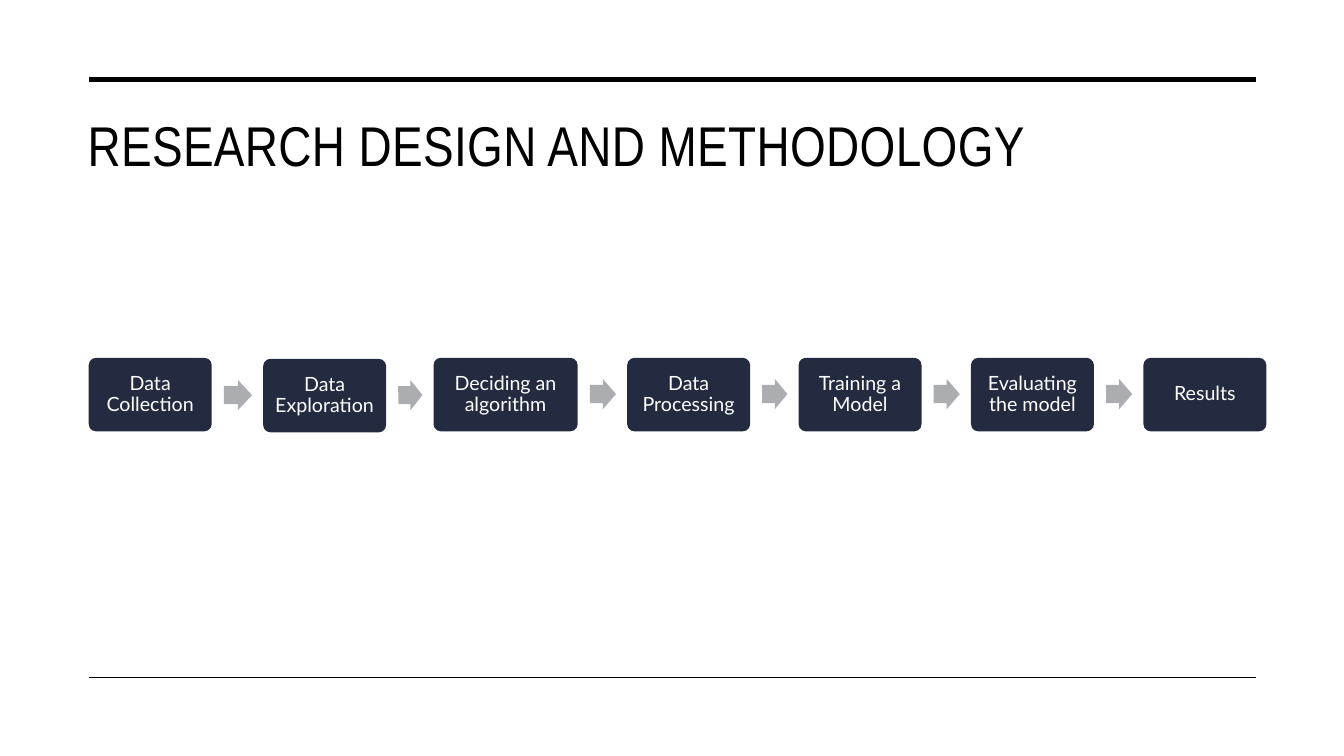
from math import atan2, degrees

from lxml.etree import SubElement
from pptx import Presentation
from pptx.dml.color import RGBColor
from pptx.enum.shapes import MSO_CONNECTOR as Connector, MSO_SHAPE as Shape
from pptx.enum.text import MSO_ANCHOR as Anchor, PP_ALIGN as Align
from pptx.oxml.ns import qn
from pptx.util import Emu, Pt

BLACK = RGBColor(0x00, 0x00, 0x00)
WHITE = RGBColor(0xFF, 0xFF, 0xFF)
NAVY = RGBColor(0x24, 0x2B, 0x41)
GREY = RGBColor(0xAC, 0xAD, 0xB0)

EMU_PER_PX = 9144  # 100 px to the inch
STEP_HEIGHT = 73
ARROW_HEIGHT = 30
ARROW_MARGIN = 12

# label, left, top, width
STEPS = [
    ("Data Collection", 88, 355, 122),
    ("Data Exploration", 261, 356, 122),
    ("Deciding an algorithm", 430, 355, 143),
    ("Data Processing", 622, 355, 122),
    ("Training a Model", 792, 355, 122),
    ("Evaluating the model", 963, 355, 122),
    ("Results", 1134, 355, 122),
]


def px(*lengths):
    return [Emu(length * EMU_PER_PX) for length in lengths]


class ProcessSlide:
    title_font = "Arial Narrow"
    body_font = "Lato"

    def __init__(self, deck):
        self.shapes = deck.slides.add_slide(deck.slide_layouts[6]).shapes

    def add_span(self, para, text, font_name, size, color):
        span = para.add_run()
        span.text = text
        span.font.name = font_name
        span.font.size = Pt(size)
        span.font.color.rgb = color
        return span

    def rule(self, left, right, top, weight):
        line = self.shapes.add_connector(
            Connector.STRAIGHT, *px(left, top, right, top))
        line.line.color.rgb = BLACK
        line.line.width = Pt(weight)
        SubElement(line._element.spPr, qn("a:effectLst"))

    def title(self, text, left, top, width, height):
        box = self.shapes.add_textbox(*px(left, top, width, height))
        box.text_frame.word_wrap = True
        para = box.text_frame.paragraphs[0]
        span = self.add_span(para, text, self.title_font, 40, BLACK)
        span.font._element.set("spc", "30")

    def filled(self, kind, color, left, top, width, height):
        shape = self.shapes.add_shape(kind, *px(left, top, width, height))
        shape.shadow.inherit = False
        shape.fill.solid()
        shape.fill.fore_color.rgb = color
        shape.line.fill.background()
        return shape

    def step(self, label, left, top, width):
        box = self.filled(Shape.ROUNDED_RECTANGLE, NAVY,
                          left, top, width, STEP_HEIGHT)
        box.adjustments[0] = 0.1
        frame = box.text_frame
        frame.word_wrap = True
        frame.vertical_anchor = Anchor.MIDDLE
        (frame.margin_left, frame.margin_top,
         frame.margin_right, frame.margin_bottom) = px(6, 6, 6, 6)
        para = frame.paragraphs[0]
        para.alignment = Align.CENTER
        para.line_spacing = 0.9
        self.add_span(para, label, self.body_font, 14, WHITE)

    def arrow(self, source, target):
        """Point from one step to the next, tilted to follow their tops."""
        _, left, top, width = source
        _, next_left, next_top, _ = target
        right = left + width
        arrow_top = max(top, next_top) + (STEP_HEIGHT - ARROW_HEIGHT) // 2
        arrow = self.filled(Shape.RIGHT_ARROW, GREY,
                            right + ARROW_MARGIN, arrow_top,
                            next_left - right - 2 * ARROW_MARGIN + 1,
                            ARROW_HEIGHT)
        arrow.adjustments[0] = 0.6
        arrow.adjustments[1] = 0.5
        arrow.rotation = degrees(atan2(next_top - top, next_left - left))


def main():
    deck = Presentation()
    deck.slide_width, deck.slide_height = px(1333, 750)
    slide = ProcessSlide(deck)
    slide.rule(88, 1246, 79, 3.5)
    slide.rule(88, 1246, 672, 1)
    slide.title("RESEARCH DESIGN AND METHODOLOGY", 77, 105, 1169, 150)
    for step in STEPS:
        slide.step(*step)
    for source, target in zip(STEPS, STEPS[1:]):
        slide.arrow(source, target)
    deck.save("out.pptx")


if __name__ == "__main__":
    main()
